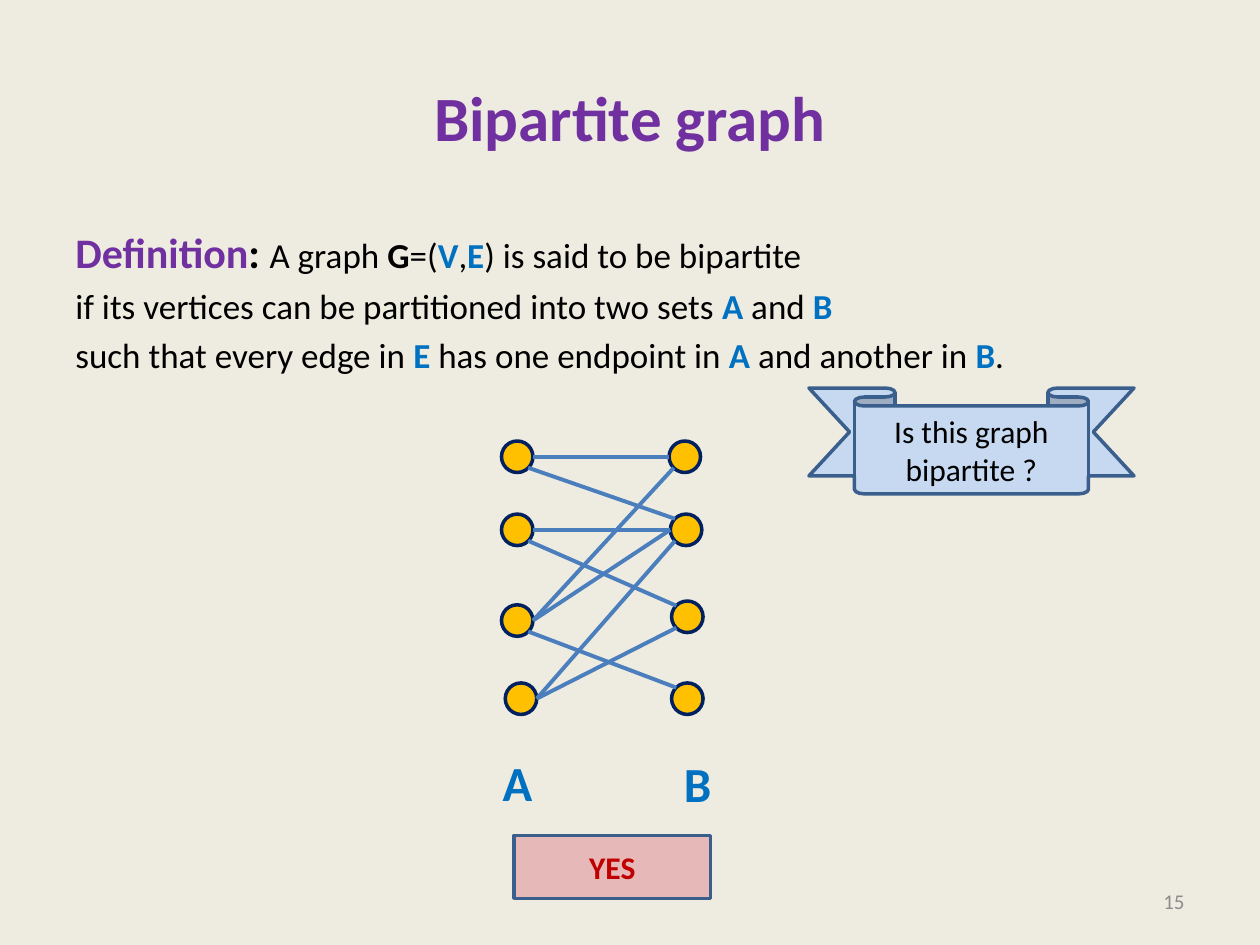
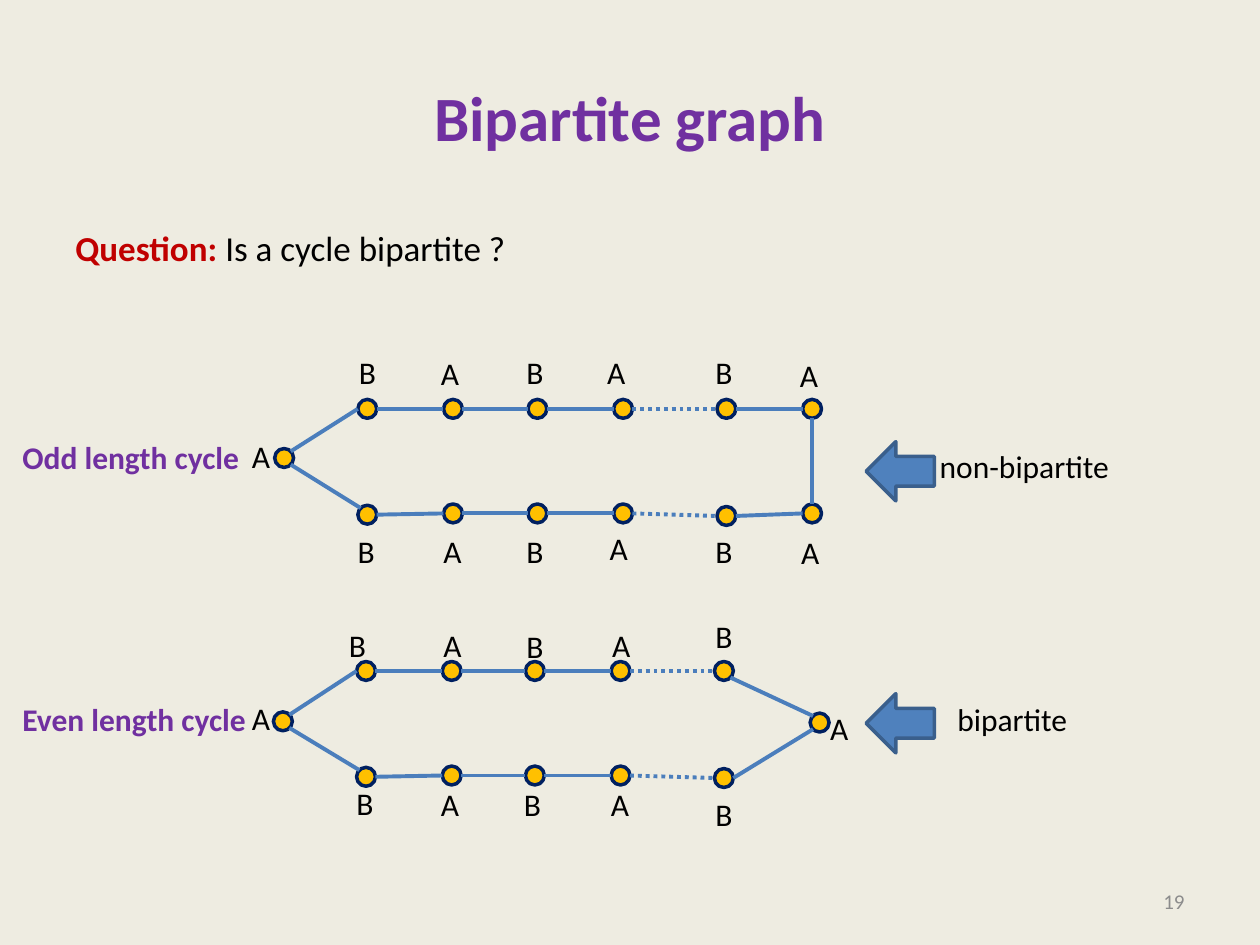
"""Builds two lecture slides on bipartite graphs: the definition and the cycles."""
from itertools import cycle, pairwise

from lxml.etree import SubElement
from pptx import Presentation
from pptx.dml.color import RGBColor
from pptx.enum.dml import MSO_LINE as Dash
from pptx.enum.shapes import MSO_CONNECTOR as Connector, MSO_SHAPE as Shape
from pptx.enum.text import MSO_ANCHOR as Anchor, MSO_AUTO_SIZE as AutoSize, PP_ALIGN as Align
from pptx.oxml.ns import qn
from pptx.util import Pt

EMU_PER_PX = 9144
PAPER, BLACK, GREY = "EEECE1", "000000", "8C8C8C"
PURPLE, BLUE, RED = "7030A0", "0070C0", "C00000"
GOLD, NAVY, EDGE, OUTLINE = "FFC000", "002060", "4B7EBC", "3A5F8C"
ARROW, RIBBON, ANSWER = "4F81BD", "C6D9F1", "E6B9B8"
NEAR, FAR = 0.15, 0.85
SITES = {
    "W": (0, 0.5), "E": (1, 0.5), "N": (0.5, 0), "S": (0.5, 1),
    "NW": (NEAR, NEAR), "NE": (FAR, NEAR), "SW": (NEAR, FAR), "SE": (FAR, FAR),
}


def px(*lengths):
    return [length * EMU_PER_PX for length in lengths]


def rgb(colour):
    return RGBColor.from_string(colour)


def plain(text):
    return text, BLACK, False, 20


def named(text):
    return text, BLUE, True, 20


def site_point(vertex, site):
    across, down = SITES[site]
    return int(vertex.left + across * vertex.width), int(vertex.top + down * vertex.height)


class Deck:
    def __init__(self):
        self.prs = Presentation()
        self.prs.slide_width, self.prs.slide_height = px(1000, 750)
        background = self.prs.slide_master.background.fill
        background.solid()
        background.fore_color.rgb = rgb(PAPER)
        self.slide = None

    def new_slide(self, title, number):
        self.slide = self.prs.slides.add_slide(self.prs.slide_layouts[6])
        self.text((50, 30, 900, 125), [[(title, PURPLE, True, 36)]], Align.CENTER, Anchor.MIDDLE)
        self.text((717, 695, 233, 40), [[(number, GREY, False, 12)]], Align.RIGHT, Anchor.MIDDLE)

    def set_text(self, frame, paragraphs, align, anchor, spaced=False):
        frame.word_wrap, frame.vertical_anchor = True, anchor
        for index, runs in enumerate(paragraphs):
            paragraph = frame.paragraphs[0] if index == 0 else frame.add_paragraph()
            paragraph.alignment = align
            if spaced:
                paragraph.space_before = Pt(runs[0][3] * 0.2)
            for text, colour, bold, size in runs:
                run = paragraph.add_run()
                run.text = text
                for key, value in dict(name="Calibri", size=Pt(size), bold=bold).items():
                    setattr(run.font, key, value)
                run.font.color.rgb = rgb(colour)

    def text(self, box, paragraphs, align=Align.LEFT, anchor=Anchor.TOP, spaced=False):
        frame = self.slide.shapes.add_textbox(*px(*box)).text_frame
        self.set_text(frame, paragraphs, align, anchor, spaced)
        return frame

    def body(self, paragraphs):
        self.text((50, 175, 900, 495), paragraphs, spaced=True)

    def label(self, box, text, colour=BLACK, bold=False, size=18):
        frame = self.text(box, [[(text, colour, bold, size)]])
        for key, value in dict(word_wrap=False, auto_size=AutoSize.SHAPE_TO_FIT_TEXT).items():
            setattr(frame, key, value)

    def shape(self, kind, box, fill, line=OUTLINE, adjustments=(), runs=None):
        shape = self.slide.shapes.add_shape(kind, *px(*box))
        shape.shadow.inherit = False
        shape.fill.solid()
        shape.fill.fore_color.rgb = rgb(fill)
        shape.line.color.rgb, shape.line.width = rgb(line), Pt(2)
        for index, value in enumerate(adjustments):
            shape.adjustments[index] = value
        if runs:
            self.set_text(shape.text_frame, [runs], Align.CENTER, Anchor.MIDDLE)
        return shape

    def vertex(self, x, y, size):
        return self.shape(Shape.OVAL, (x, y, size, size), GOLD, NAVY)

    def edge(self, start, start_site, end, end_site, dotted=False):
        points = site_point(start, start_site) + site_point(end, end_site)
        edge = self.slide.shapes.add_connector(Connector.STRAIGHT, *points)
        edge.line.color.rgb, edge.line.width = rgb(EDGE), Pt(2.25)
        if dotted:
            edge.line.dash_style = Dash.ROUND_DOT
        SubElement(edge.element.spPr, qn("a:effectLst"))

    def cycle_row(self, places):
        row = [self.vertex(x, y, 15) for x, y in places]
        for index, (left, right) in enumerate(pairwise(row)):
            self.edge(left, "E", right, "W", dotted=index == 3)
        return row

    def cycle_labels(self, places):
        for letter, (x, y) in zip(cycle("BA"), places):
            self.label((x, y, 35 if letter == "A" else 34, 40), letter)

    def verdict(self, y, box, text):
        self.shape(Shape.UP_ARROW, (691, y, 47, 54), ARROW).rotation = 270
        self.label(box, text)


def definition_slide(deck):
    deck.new_slide("Bipartite graph", "15")
    deck.body([
        [("Definition", PURPLE, True, 24), (": ", BLACK, True, 24), plain("A graph "),
         ("G", BLACK, True, 20), plain("=("), named("V"), plain(","), named("E"),
         plain(") is said to be bipartite")],
        [plain("if its vertices can be partitioned into two sets "), named("A"),
         plain(" and "), named("B")],
        [plain("such that every edge in "), named("E"), plain(" has one endpoint in "),
         named("A"), plain(" and another in "), named("B"), plain(".")],
    ])
    set_a = [(398, 350), (398, 408), (398, 480), (401, 542)]
    set_b = [(531, 350), (532, 408), (533, 477), (533, 542)]
    a, b = ([deck.vertex(x, y, 25) for x, y in places] for places in (set_a, set_b))
    for i, a_site, j, b_site in [
        (0, "E", 0, "W"), (1, "E", 1, "W"), (2, "E", 1, "W"),
        (0, "SE", 1, "NW"), (2, "E", 0, "SW"), (3, "E", 1, "SW"),
        (2, "SE", 3, "NW"), (1, "SE", 2, "NW"), (3, "E", 2, "SW"),
    ]:
        deck.edge(a[i], a_site, b[j], b_site)
    deck.label((389, 592, 44, 57), "A", BLUE, True, 28)
    deck.label((533, 593, 42, 57), "B", BLUE, True, 28)
    deck.shape(Shape.DOWN_RIBBON, (642, 308, 258, 84), RIBBON, adjustments=(0.17, 0.72),
               runs=[("Is this graph bipartite ?", BLACK, False, 18)])
    deck.shape(Shape.ROUNDED_RECTANGLE, (408, 663, 156, 50), ANSWER, adjustments=(0,),
               runs=[("YES", RED, True, 18)])


def cycles_slide(deck):
    deck.new_slide("Bipartite graph", "19")
    deck.body([[("Question: ", RED, True, 20), plain("Is a cycle bipartite ?")]])

    odd_x, even_x = (284, 352, 419, 487, 569, 637), (283, 351, 417, 485, 567)
    lower_offset = (84, 83, 83, 83, 85, 83)
    ends = []
    for tip, xs, top in [((218, 356), odd_x, 317), ((217, 565), even_x, 525)]:
        start = deck.vertex(*tip, 15)
        upper = deck.cycle_row([(x, top) for x in xs])
        lower = deck.cycle_row([(x, top + dy) for x, dy in zip(xs, lower_offset)])
        deck.edge(start, "NE", upper[0], "W")
        deck.edge(start, "SE", lower[0], "NW")
        ends.append((upper[-1], lower[-1]))

    (odd_upper, odd_lower), (even_upper, even_lower) = ends
    deck.edge(odd_upper, "S", odd_lower, "N")
    even_end = deck.vertex(643, 566, 15)
    deck.edge(even_upper, "SE", even_end, "NW")
    deck.edge(even_end, "SW", even_lower, "E")

    for places in [
        [(275, 275), (340, 276), (408, 275), (472, 275), (558, 275), (625, 278)],
        [(274, 417), (342, 417), (408, 417), (474, 415), (558, 417), (626, 418)],
        [(267, 492), (342, 492), (408, 493), (476, 492), (558, 485)],
        [(273, 617), (340, 618), (406, 618), (475, 618), (558, 626)],
    ]:
        deck.cycle_labels(places)
    for x, y in [(190, 342), (190, 550), (649, 558)]:
        deck.label((x, y, 35, 40), "A")

    deck.label((8, 343, 193, 40), "Odd length cycle", PURPLE, True)
    deck.label((8, 551, 199, 40), "Even length cycle", PURPLE, True)
    deck.verdict(347, (736, 350, 156, 40), "non-bipartite")
    deck.verdict(547, (750, 551, 108, 40), "bipartite")


def main():
    deck = Deck()
    definition_slide(deck)
    cycles_slide(deck)
    deck.prs.save("out.pptx")


if __name__ == "__main__":
    main()
